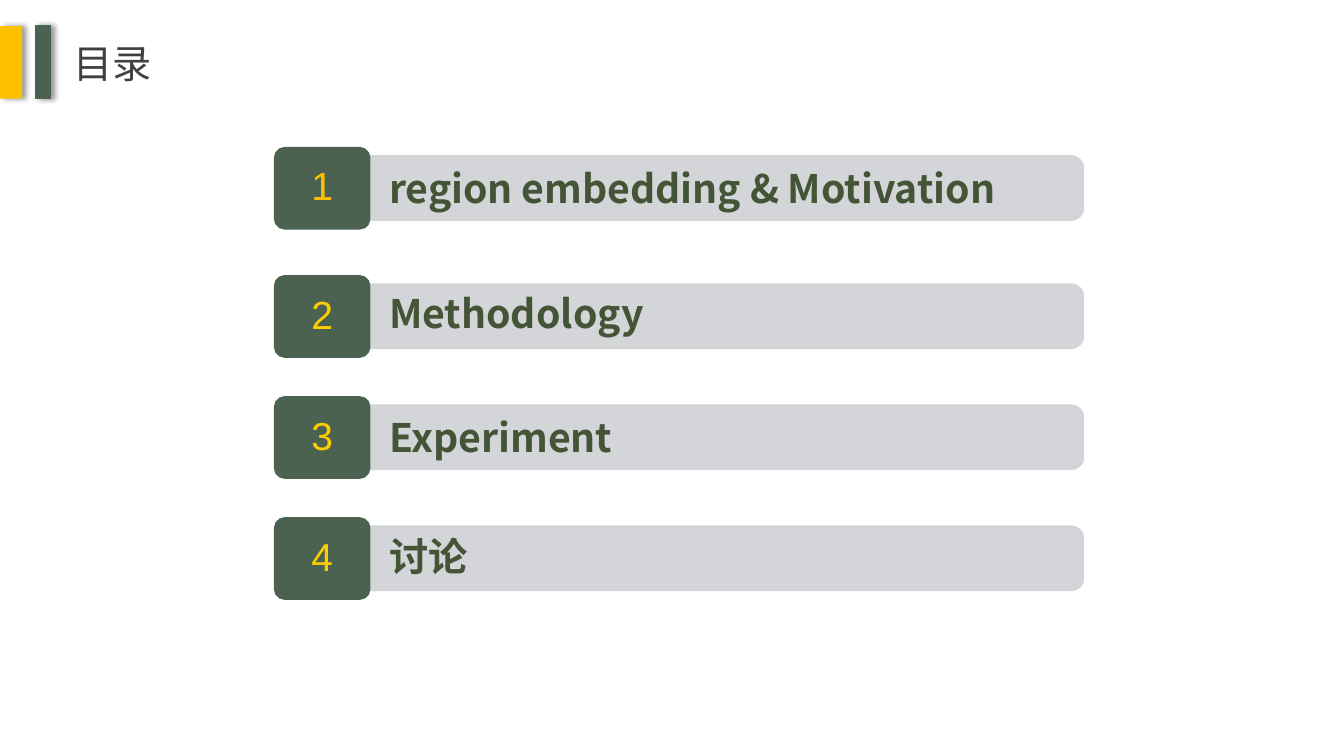
import math
from dataclasses import dataclass

import lxml.etree
import pptx
import pptx.dml.color
import pptx.enum.shapes
import pptx.enum.text
import pptx.oxml.ns
import pptx.util

Cm = pptx.util.Cm
Pt = pptx.util.Pt
qn = pptx.oxml.ns.qn
ALIGN = pptx.enum.text.PP_ALIGN
SHAPE = pptx.enum.shapes.MSO_SHAPE


@dataclass(frozen=True)
class Theme:
    green: str = "4B6251"
    amber: str = "FFC000"
    yellow: str = "FFCC00"
    grey: str = "CFD1D4"
    title: str = "404040"
    topic: str = "445437"
    shadow: str = "000000"
    cjk_font: str = "Noto Sans CJK SC"
    digit_font: str = "Arial"
    size: float = 28
    small_digit: float = 27.8


THEME = Theme()

# Agenda rows: top in cm, topic, digit colour, digit size, tight spacing of topic
AGENDA = [
    (3.73, "region embedding & Motivation", THEME.amber, THEME.size, False),
    (6.96, "Methodology", THEME.yellow, THEME.size, True),
    (10.01, "Experiment", THEME.yellow, THEME.small_digit, False),
    (13.06, "讨论", THEME.yellow, THEME.small_digit, True),
]


def rgb(color):
    return pptx.dml.color.RGBColor.from_string(color)


def set_opacity(fill, percent):
    """Make a solid fill partly transparent."""
    color = fill._xPr.find(qn("a:solidFill"))[0]
    lxml.etree.SubElement(color, qn("a:alpha"), val=str(percent * 1000))


def paint(s, color, line_width=None, opacity=100):
    s.shadow.inherit = False
    s.fill.solid()
    s.fill.fore_color.rgb = rgb(color)
    if line_width is None:
        s.line.fill.background()
    else:
        s.line.width = Pt(line_width)
        s.line.color.rgb = rgb(color)
    if opacity < 100:
        set_opacity(s.fill, opacity)
        set_opacity(s.line.fill, opacity)


def add_shadow(s):
    """Cast a soft shadow to the right."""
    effects = s._element.spPr.find(qn("a:effectLst"))
    outer = lxml.etree.SubElement(
        effects, qn("a:outerShdw"), blurRad=str(Pt(4)), dist=str(Pt(3)),
        dir="0", algn="l", rotWithShape="0")
    color = lxml.etree.SubElement(outer, qn("a:srgbClr"), val=THEME.shadow)
    lxml.etree.SubElement(color, qn("a:alpha"), val="40000")


def write(s, text, font, size, color, align=ALIGN.LEFT, bold=False,
          after_percent=None):
    p = s.text_frame.paragraphs[0]
    p.alignment = align
    if after_percent is not None:
        p.line_spacing = 0.9
        after = lxml.etree.SubElement(p._p.get_or_add_pPr(), qn("a:spcAft"))
        lxml.etree.SubElement(after, qn("a:spcPct"),
                              val=str(after_percent * 1000))
    r = p.add_run()
    r.text = text
    r.font.name = font
    r.font.size = Pt(size)
    r.font.bold = bold
    r.font.color.rgb = rgb(color)
    lxml.etree.SubElement(r._r.get_or_add_rPr(), qn("a:ea"), typeface=font)


def set_insets(s, left, top, right, bottom):
    tf = s.text_frame
    tf.word_wrap = True
    tf.vertical_anchor = pptx.enum.text.MSO_ANCHOR.MIDDLE
    tf.margin_left, tf.margin_top = Cm(left), Cm(top)
    tf.margin_right, tf.margin_bottom = Cm(right), Cm(bottom)


def add_title(sld, text):
    s = sld.shapes.title
    s.left, s.top, s.width, s.height = Cm(1.6), Cm(0.86), Cm(2.51), Cm(1.45)
    tf = s.text_frame
    tf.word_wrap = False
    tf.auto_size = pptx.enum.text.MSO_AUTO_SIZE.SHAPE_TO_FIT_TEXT
    write(s, text, THEME.cjk_font, THEME.size, THEME.title)


def add_accent(sld, left, width, color, line_width=None):
    s = sld.shapes.add_shape(SHAPE.RECTANGLE, Cm(left), Cm(0.66),
                             Cm(width), Cm(1.83))
    paint(s, color, line_width)
    add_shadow(s)


def add_bar(sld, top, topic, tight):
    """Draw a topic bar with round corners on its right side only."""
    left, right, bottom = 9.3, 27.3, top + 1.62
    rx, ry = 0.33, 0.28
    angles = [math.radians(a) for a in range(0, 91, 6)]
    corner = [(rx * math.sin(a), ry * math.cos(a)) for a in angles]
    points = [(right - rx + x, top + ry - y) for x, y in corner]
    points += [(right - rx + x, bottom - ry + y) for x, y in corner[::-1]]
    points.append((left, bottom))
    builder = sld.shapes.build_freeform(Cm(left), Cm(top))
    builder.add_line_segments([(Cm(x), Cm(y)) for x, y in points])
    s = builder.convert_to_shape()
    paint(s, THEME.grey, 1, opacity=90)
    set_insets(s, 0.51, 0.33, 0.58, 0.33)
    write(s, topic, THEME.cjk_font, THEME.size, THEME.topic, bold=True,
          after_percent=15 if tight else None)


def add_badge(sld, top, number, color, size):
    s = sld.shapes.add_shape(SHAPE.ROUNDED_RECTANGLE, Cm(6.93), Cm(top),
                             Cm(2.38), Cm(2.03))
    s.adjustments[0] = 0.12
    paint(s, THEME.green, 1.5)
    set_insets(s, 0.38, 0.23, 0.38, 0.23)
    write(s, str(number), THEME.digit_font, size, color, ALIGN.CENTER,
          after_percent=35)


def main():
    prs = pptx.Presentation()
    prs.slide_width, prs.slide_height = Cm(33.87), Cm(19.05)
    sld = prs.slides.add_slide(prs.slide_layouts.get_by_name("Title Only"))

    # Heading with its two accent blocks
    add_title(sld, "目录")
    add_accent(sld, 0, 0.56, THEME.amber)
    add_accent(sld, 0.89, 0.38, THEME.green, 1)

    # Numbered agenda
    for number, (top, topic, color, size, tight) in enumerate(AGENDA, 1):
        add_bar(sld, top + 0.2, topic, tight)
        add_badge(sld, top, number, color, size)

    prs.save("out.pptx")


if __name__ == "__main__":
    main()
